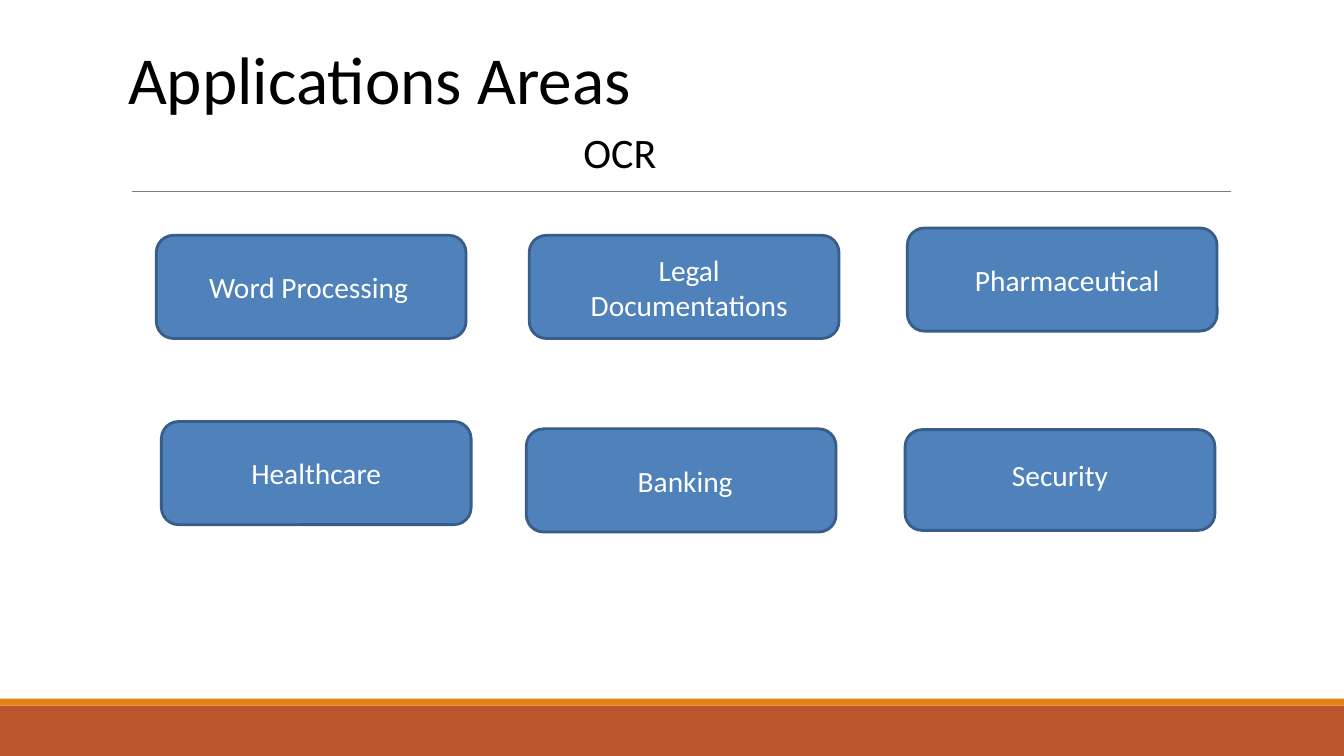
from dataclasses import dataclass

from pptx import Presentation
from pptx.dml.color import RGBColor
from pptx.enum.shapes import MSO_CONNECTOR, MSO_SHAPE
from pptx.enum.text import MSO_ANCHOR, PP_ALIGN
from pptx.oxml.ns import qn
from pptx.slide import Slide
from pptx.text.text import _Paragraph as Paragraph
from pptx.util import Inches, Pt

PAGE_WIDTH = Inches(13.33)
PAGE_HEIGHT = Inches(7.5)


@dataclass(frozen=True)
class Theme:
    font: str = "Calibri"
    title_size: float = 48
    subtitle_size: float = 30
    card_size: float = 21
    ink: str = "000000"
    card_ink: str = "FFFFFF"
    card_fill: str = "4F81BB"
    card_line: str = "375D88"
    rule: str = "7D7D7D"
    footer: str = "BB552C"
    footer_edge: str = "E18312"


@dataclass(frozen=True)
class Card:
    """A labelled box in a grid cell; offsets are percent of the page."""
    label: str
    column: int
    row: int
    shift_x: float = 0
    shift_y: float = 0
    height: float = 13.65
    text_shift: float = 0
    text_lift: float = 0


@dataclass(frozen=True)
class Band:
    top: float
    height: float
    color: str


THEME = Theme()

GRID_LEFT, GRID_TOP = 11.63, 31.13
COLUMN_STEP, ROW_STEP = 27.9, 25.6
CARD_WIDTH = 23.05
SIDE_INSET, END_INSET = 3.75, 0.7

CARDS = [
    Card("Word Processing", 0, 0, text_shift=-0.19),
    Card("Legal Documentations", 1, 0, shift_x=-0.15, text_shift=0.38),
    Card("Pharmaceutical", 2, 0, 0.08, -0.97, text_shift=0.37),
    Card("Healthcare", 0, 1, 0.38, -0.97),
    Card("Banking", 1, 1, shift_x=-0.37, text_shift=0.3),
    Card("Security", 2, 1, -0.08, 0.1, height=13.33, text_lift=0.67),
]

BANDS = [
    Band(93.33, 6.67, THEME.footer),
    Band(92.4, 0.93, THEME.footer_edge),
]


def across(percent: float) -> int:
    return round(PAGE_WIDTH * percent / 100)


def down(percent: float) -> int:
    return round(PAGE_HEIGHT * percent / 100)


def style(para: Paragraph, size: float, color: str) -> None:
    for span in para.runs:
        span.font.name = THEME.font
        span.font.size = Pt(size)
        span.font.color.rgb = RGBColor.from_string(color)


def draw_band(page: Slide, band: Band) -> None:
    box = page.shapes.add_shape(MSO_SHAPE.RECTANGLE, 0, down(band.top),
                                PAGE_WIDTH, down(band.height))
    box.shadow.inherit = False
    box.fill.solid()
    box.fill.fore_color.rgb = RGBColor.from_string(band.color)
    box.line.fill.background()


def draw_rule(page: Slide) -> None:
    height = down(25.33)
    rule = page.shapes.add_connector(MSO_CONNECTOR.STRAIGHT, across(9.83), height,
                                     across(91.6), height)
    rule.line.color.rgb = RGBColor.from_string(THEME.rule)
    rule.line.width = Pt(0.75)
    properties = rule._element.spPr
    properties.append(properties.makeelement(qn("a:effectLst"), {}))


def draw_heading(page: Slide) -> None:
    box = page.shapes.add_textbox(across(9.53), down(2.93), across(39.31), down(20.67))
    frame = box.text_frame
    frame.word_wrap = True
    frame.margin_left = frame.margin_right = frame.margin_bottom = 0
    frame.margin_top = down(2)
    frame.text = "Applications Areas\nOCR"
    title, subtitle = frame.paragraphs
    style(title, THEME.title_size, THEME.ink)
    style(subtitle, THEME.subtitle_size, THEME.ink)
    subtitle.alignment = PP_ALIGN.RIGHT
    subtitle.space_before = Pt(6.2)


def draw_card(page: Slide, card: Card) -> None:
    box = page.shapes.add_shape(
        MSO_SHAPE.ROUNDED_RECTANGLE,
        across(GRID_LEFT + card.column * COLUMN_STEP + card.shift_x),
        down(GRID_TOP + card.row * ROW_STEP + card.shift_y),
        across(CARD_WIDTH), down(card.height))
    box.shadow.inherit = False
    box.fill.solid()
    box.fill.fore_color.rgb = RGBColor.from_string(THEME.card_fill)
    box.line.color.rgb = RGBColor.from_string(THEME.card_line)
    box.line.width = Pt(2)

    frame = box.text_frame
    frame.word_wrap = True
    frame.vertical_anchor = MSO_ANCHOR.MIDDLE
    frame.margin_left = across(SIDE_INSET + card.text_shift)
    frame.margin_right = across(SIDE_INSET - card.text_shift)
    frame.margin_top = down(END_INSET - card.text_lift)
    frame.margin_bottom = down(END_INSET + card.text_lift)
    frame.text = card.label
    para = frame.paragraphs[0]
    para.alignment = PP_ALIGN.CENTER
    style(para, THEME.card_size, THEME.card_ink)


def main() -> None:
    deck = Presentation()
    deck.slide_width = PAGE_WIDTH
    deck.slide_height = PAGE_HEIGHT
    page = deck.slides.add_slide(deck.slide_layouts[6])
    for band in BANDS:
        draw_band(page, band)
    draw_rule(page)
    draw_heading(page)
    for card in CARDS:
        draw_card(page, card)
    deck.save("out.pptx")


if __name__ == "__main__":
    main()
